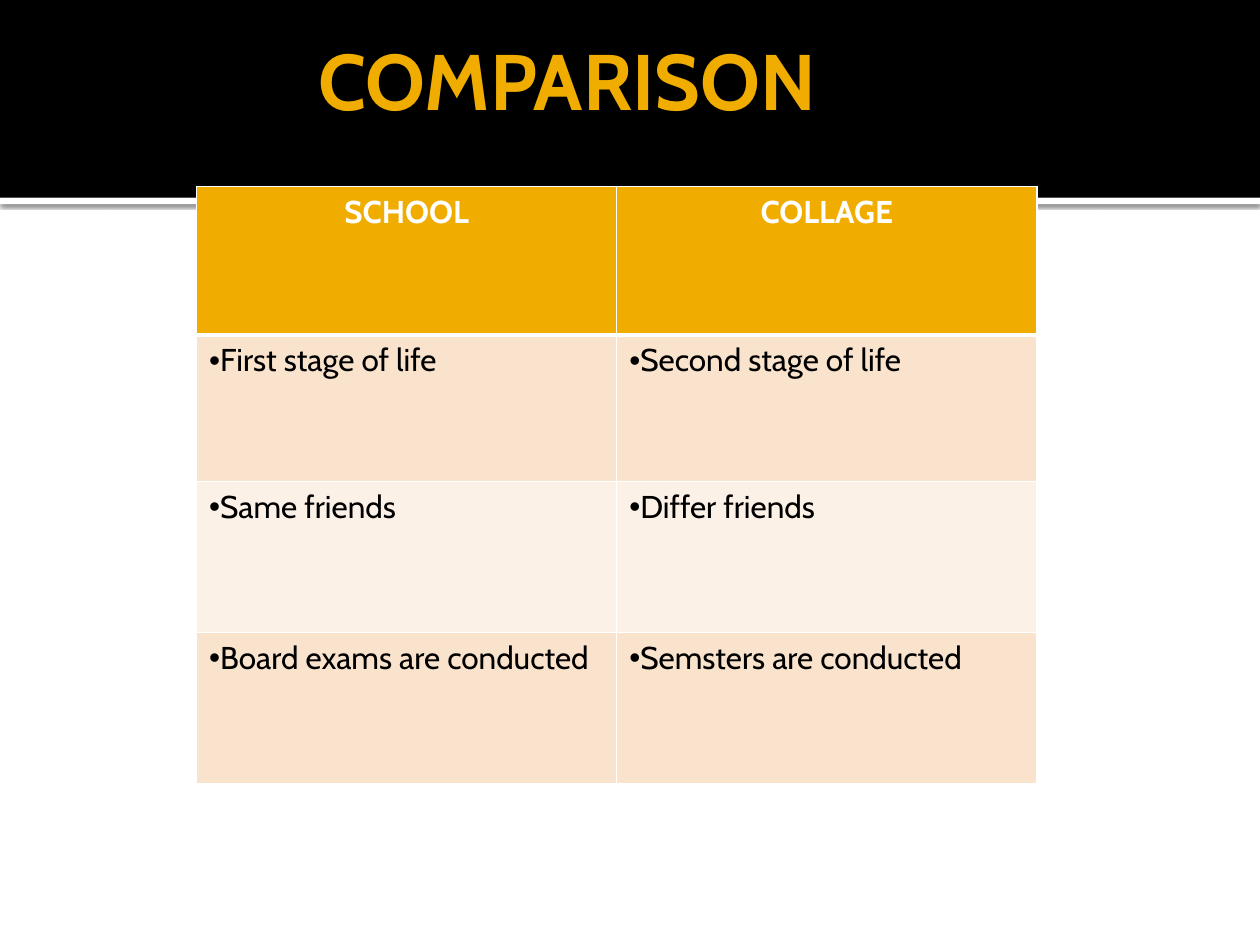
"""Builds a slide that compares school and collage in a two-column table."""
from dataclasses import dataclass

from lxml import etree
from pptx import Presentation
from pptx.dml.color import RGBColor
from pptx.enum.shapes import MSO_SHAPE
from pptx.enum.text import MSO_ANCHOR, MSO_AUTO_SIZE, PP_ALIGN
from pptx.oxml import parse_xml
from pptx.oxml.ns import nsdecls, qn
from pptx.util import Inches, Pt

RECTANGLE = MSO_SHAPE.RECTANGLE
MIDDLE = MSO_ANCHOR.MIDDLE
NO_AUTOFIT = MSO_AUTO_SIZE.NONE
CENTER, LEFT = PP_ALIGN.CENTER, PP_ALIGN.LEFT


@dataclass(frozen=True)
class Theme:
    """Colours, fonts and type sizes of the slide."""
    font: str = "Cabin"
    bullet_font: str = "Arial"
    gold: str = "F0AD00"
    black: str = "000000"
    white: str = "FFFFFF"
    bands: tuple = ("F9E3CC", "FCF1E7")
    title_size: int = 45
    table_size: int = 18
    thin: int = 1
    thick: int = 3


class SlideBuilder:
    """Adds styled elements to one slide."""

    def __init__(self, slide, theme):
        self.slide = slide
        self.theme = theme

    def style(self, paragraph, size, color, bold, align):
        """Format a whole paragraph."""
        paragraph.alignment = align
        font = paragraph.font
        font.name, font.size, font.bold = self.theme.font, Pt(size), bold
        font.color.rgb = RGBColor.from_string(color)

    def backdrop(self, top, height, color):
        """Add a full-width bar behind everything else."""
        bar = self.slide.shapes.add_shape(
            RECTANGLE, 0, Inches(top), Inches(10), Inches(height))
        bar.shadow.inherit = False
        bar.fill.solid()
        bar.fill.fore_color.rgb = RGBColor.from_string(color)
        bar.line.fill.background()
        self.slide.shapes._spTree.insert(2, bar._element)
        return bar

    def drop_shadow(self, bar):
        """Cast a soft shadow straight down."""
        effects = bar._element.spPr.find(qn("a:effectLst"))
        effects.append(parse_xml(
            f'<a:outerShdw {nsdecls("a")} blurRad="{Pt(2.5)}" dist="{Pt(0.8)}" '
            f'dir="5400000" algn="t" rotWithShape="0">'
            f'<a:srgbClr val="{self.theme.black}"><a:alpha val="60000"/></a:srgbClr>'
            f'</a:outerShdw>'))

    def title(self, text):
        """Place and format the title placeholder."""
        title = self.slide.shapes.title
        title.left, title.top = Inches(0.39), Inches(0)
        title.width, title.height = Inches(8.17), Inches(1.25)
        frame = title.text_frame
        frame.text = text
        frame.auto_size = NO_AUTOFIT
        frame.vertical_anchor = MIDDLE
        frame.margin_left = Inches(0.1)
        frame.margin_right = frame.margin_top = frame.margin_bottom = Inches(0.05)
        self.style(frame.paragraphs[0], self.theme.title_size,
                   self.theme.gold, True, CENTER)

    def borders(self, cell, top, bottom):
        """Draw white lines on the four sides of a cell."""
        widths = {"L": self.theme.thin, "R": self.theme.thin, "T": top, "B": bottom}
        properties = cell._tc.get_or_add_tcPr()
        for position, (side, width) in enumerate(widths.items()):
            properties.insert(position, parse_xml(
                f'<a:ln{side} {nsdecls("a")} w="{Pt(width)}"><a:solidFill>'
                f'<a:srgbClr val="{self.theme.white}"/></a:solidFill></a:ln{side}>'))

    def bullet(self, paragraph):
        """Give a paragraph a round bullet without indent."""
        properties = paragraph._p.get_or_add_pPr()
        properties.set("marL", "0")
        properties.set("indent", "0")
        properties.insert(0, etree.Element(
            qn("a:buFont"), typeface=self.theme.bullet_font))
        properties.insert(1, etree.Element(qn("a:buChar"), char="•"))

    def table(self, rows, heights):
        """Add the table with a header row and banded body rows."""
        theme = self.theme
        table = self.slide.shapes.add_table(
            len(rows), len(rows[0]), Inches(1.56), Inches(1.48),
            Inches(6.67), Inches(sum(heights))).table
        for r, (texts, height) in enumerate(zip(rows, heights)):
            table.rows[r].height = Inches(height)
            header = r == 0
            fill = theme.gold if header else theme.bands[(r - 1) % 2]
            for c, text in enumerate(texts):
                cell = table.cell(r, c)
                cell.text = text
                cell.fill.solid()
                cell.fill.fore_color.rgb = RGBColor.from_string(fill)
                self.borders(cell, theme.thick if r == 1 else theme.thin,
                             theme.thick if header else theme.thin)
                paragraph = cell.text_frame.paragraphs[0]
                self.style(paragraph, theme.table_size,
                           theme.white if header else theme.black,
                           header, CENTER if header else LEFT)
                if not header:
                    self.bullet(paragraph)


def main():
    """Build and save the slide."""
    presentation = Presentation()
    presentation.slide_width, presentation.slide_height = Inches(10), Inches(7.5)
    theme = Theme()
    slide = presentation.slides.add_slide(presentation.slide_layouts[5])
    builder = SlideBuilder(slide, theme)
    builder.backdrop(0, 1.57, theme.black)
    builder.drop_shadow(builder.backdrop(1.57, 0.05, theme.white))
    builder.title("COMPARISON")
    builder.table([
        ("SCHOOL", "COLLAGE"),
        ("First stage of life", "Second stage of life"),
        ("Same friends", "Differ friends"),
        ("Board exams are conducted", "Semsters are conducted"),
    ], (1.18, 1.16, 1.2, 1.2))
    presentation.save("out.pptx")


if __name__ == "__main__":
    main()
